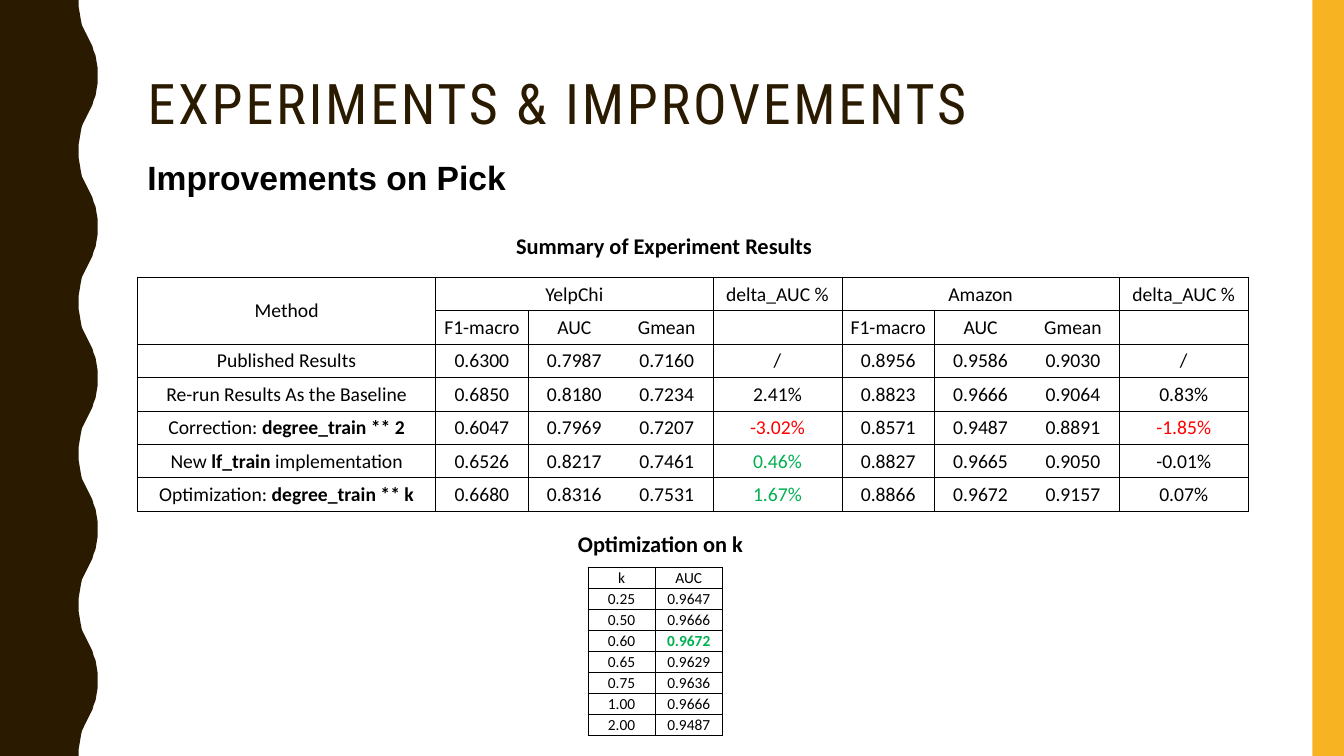
from lxml import etree
from pptx import Presentation
from pptx import util as u
from pptx.dml.color import RGBColor
from pptx.enum import shapes, text
from pptx.oxml import ns

PX = 9525
PAGE_WIDTH, PAGE_HEIGHT = 1280, 720
COLORS = {"brown": "2A1A00", "amber": "F8B323", "black": "000000",
          "white": "FFFFFF", "red": "FF0000", "green": "00B050"}
NO_STYLE = "{2D5ABB26-0587-4C30-8999-92F81FD0307C}"

# Half of one wave: distance down the page and bulge to the right.
WAVE_HALF = [(0, 0), (7, 0), (13, 1), (19, 2), (24, 3), (28, 5), (32, 7), (36, 9),
             (40, 11), (44, 13), (48, 14), (53, 16), (59, 17), (65, 18), (72, 18)]
WAVE_LENGTH = 144

METRICS = ["F1-macro", "AUC", "Gmean", ""]
RESULTS = [
    ["Method", "YelpChi", "", "", "delta_AUC %", "Amazon", "", "", "delta_AUC %"],
    ["", *METRICS, *METRICS],
    ["Published Results", "0.6300", "0.7987", "0.7160", "/",
     "0.8956", "0.9586", "0.9030", "/"],
    ["Re-run Results As the Baseline", "0.6850", "0.8180", "0.7234", "2.41%",
     "0.8823", "0.9666", "0.9064", "0.83%"],
    ["Correction: |degree_train ** 2", "0.6047", "0.7969", "0.7207", "-3.02%",
     "0.8571", "0.9487", "0.8891", "-1.85%"],
    ["New| lf_train| implementation", "0.6526", "0.8217", "0.7461", "0.46%",
     "0.8827", "0.9665", "0.9050", "-0.01%"],
    ["Optimization: |degree_train ** k", "0.6680", "0.8316", "0.7531", "1.67%",
     "0.8866", "0.9672", "0.9157", "0.07%"],
]
RESULT_TINTS = {(4, 4): "red", (4, 8): "red", (5, 4): "green", (6, 4): "green"}
RESULT_MERGES = [((0, 0), (1, 0)), ((0, 1), (0, 3)), ((0, 5), (0, 7))]
K_SEARCH = [["k", "AUC"], ["0.25", "0.9647"], ["0.50", "0.9666"], ["0.60", "|0.9672"],
            ["0.65", "0.9629"], ["0.75", "0.9636"], ["1.00", "0.9666"], ["2.00", "0.9487"]]


def rgb(name):
    return RGBColor.from_string(COLORS[name])


def px(*lengths):
    return [u.Emu(round(length * PX)) for length in lengths]


def write(frame, words, font="Calibri", size=16, color="black", bold=False,
          align=text.PP_ALIGN.LEFT, line_spacing=None, tracking=None):
    """Write one paragraph; each | in words switches bold on or off."""
    para = frame.paragraphs[0]
    para.alignment = align
    para.line_spacing = line_spacing
    for index, part in enumerate(words.split("|")):
        if not part:
            continue
        span = para.add_run()
        span.text = part
        span.font.name = font
        span.font.size = u.Pt(size)
        span.font.bold = bold != (index % 2 == 1)
        span.font.color.rgb = rgb(color)
        if tracking:
            span._r.get_or_add_rPr().set("spc", str(tracking * 100))


def paint(shape, color):
    shape.shadow.inherit = False
    shape.fill.solid()
    shape.fill.fore_color.rgb = rgb(color)
    shape.line.fill.background()


def draw_wave(page, left, top, base, height):
    down_and_up = WAVE_HALF + [(WAVE_LENGTH - y, x) for y, x in WAVE_HALF[-2::-1]]
    points = [(left + base + x, start + y)
              for start in range(top, top + height, WAVE_LENGTH)
              for y, x in down_and_up]
    outline = page.shapes.build_freeform(left, top, scale=PX)
    outline.add_line_segments(points + [(left, top + height)], close=True)
    paint(outline.convert_to_shape(), "brown")


def draw_side_bar(page, left, top, width, height):
    bar = page.shapes.add_shape(shapes.MSO_SHAPE.RECTANGLE, *px(left, top, width, height))
    paint(bar, "amber")


def add_title(page, words, left, top, width, height):
    title = page.shapes.title
    title.left, title.top, title.width, title.height = px(left, top, width, height)
    frame = title.text_frame
    frame.auto_size = text.MSO_AUTO_SIZE.NONE
    frame.vertical_anchor = text.MSO_ANCHOR.TOP
    write(frame, words, font="Roboto Condensed", size=40, color="brown",
          line_spacing=0.9, tracking=2)


def add_heading(page, words, left, top, width, height, **style):
    box = page.shapes.add_textbox(*px(left, top, width, height))
    box.text_frame.word_wrap = True
    box.text_frame.auto_size = text.MSO_AUTO_SIZE.SHAPE_TO_FIT_TEXT
    write(box.text_frame, words, bold=True, **style)


def draw_borders(cell, sides):
    properties = cell._tc.get_or_add_tcPr()
    for side in sides:
        line = etree.SubElement(properties, ns.qn(f"a:ln{side}"), w=str(u.Pt(0.5)))
        fill = etree.SubElement(line, ns.qn("a:solidFill"))
        etree.SubElement(fill, ns.qn("a:srgbClr"), val=COLORS["black"])


def add_grid(page, rows, left, top, column_widths, height, size, anchor,
             tints, merges=(), groups=(), fill=None):
    """Draw a ruled table; columns inside a (first, last) group share no vertical line."""
    width = sum(column_widths)
    frame = page.shapes.add_table(len(rows), len(column_widths),
                                  *px(left, top, width, height))
    table = frame.table
    table.first_row = table.horz_banding = False
    table._tbl.tblPr.find(ns.qn("a:tableStyleId")).text = NO_STYLE
    for column, column_width in zip(table.columns, column_widths):
        column.width, = px(column_width)
    for row in table.rows:
        row.height, = px(height / len(rows))
    for r, row in enumerate(rows):
        for c, words in enumerate(row):
            cell = table.cell(r, c)
            open_left = any(first < c <= last for first, last in groups)
            open_right = any(first <= c < last for first, last in groups)
            draw_borders(cell, "L" * (not open_left) + "R" * (not open_right) + "TB")
            if fill:
                cell.fill.solid()
                cell.fill.fore_color.rgb = rgb(fill)
            else:
                cell.fill.background()
            cell.margin_left, cell.margin_right, cell.margin_top, cell.margin_bottom = px(
                1, 1, 1, 0)
            cell.vertical_anchor = anchor
            write(cell.text_frame, words, size=size, align=text.PP_ALIGN.CENTER,
                  color=tints.get((r, c), "black"))
    for first, last in merges:
        table.cell(*first).merge(table.cell(*last))


def add_results(page, left, top):
    add_heading(page, "Summary of Experiment Results", left + 351, top, 372, 35)
    group_widths = [88, 88, 88, 123]
    add_grid(page, RESULTS, left, top + 48, [284, *group_widths, *group_widths], 223,
             14, text.MSO_ANCHOR.MIDDLE, RESULT_TINTS, RESULT_MERGES,
             groups=[(1, 3), (5, 7)], fill="white")


def add_k_search(page, left, top):
    add_heading(page, "Optimization on k", left, top, 189, 35)
    add_grid(page, K_SEARCH, left + 19, top + 40, [64, 64], 160,
             11, text.MSO_ANCHOR.BOTTOM, {(3, 1): "green"})


def main():
    deck = Presentation()
    deck.slide_width, deck.slide_height = px(PAGE_WIDTH, PAGE_HEIGHT)
    page = deck.slides.add_slide(deck.slide_layouts.get_by_name("Title Only"))
    draw_wave(page, 0, 0, 75, PAGE_HEIGHT)
    draw_side_bar(page, PAGE_WIDTH - 30, 0, 30, PAGE_HEIGHT)
    add_title(page, "EXPERIMENTS & IMPROVEMENTS", 131, 68, 1037, 77)
    add_heading(page, "Improvements on Pick", 131, 145, 537, 48, font="Arial", size=24)
    add_results(page, 131, 216)
    add_k_search(page, 541, 500)
    deck.save("out.pptx")


if __name__ == "__main__":
    main()
